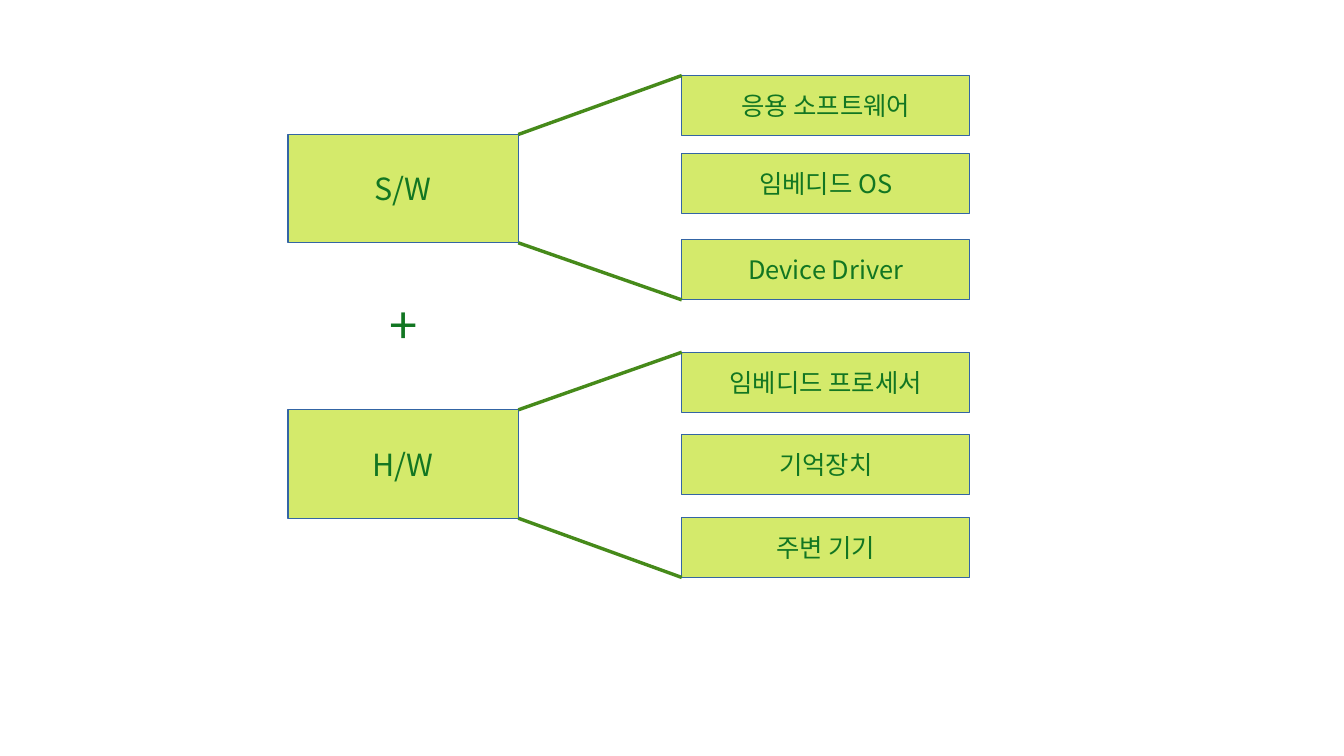
from lxml import etree
from pptx import Presentation
from pptx.dml.color import RGBColor
from pptx.enum import shapes, text
from pptx.oxml import ns
from pptx.util import Pt

FONT = "Noto Sans CJK KR"
GROUP_LEFT, GROUP_WIDTH, GROUP_HEIGHT = 170, 136, 64
PART_LEFT, PART_WIDTH, PART_HEIGHT = 402.5, 170, 35.5
GROUPS = [
    ("S/W", 79.4, [("응용 소프트웨어", 44.6), ("임베디드 OS", 90.7), ("Device Driver", 141.6)]),
    ("H/W", 242, [("임베디드 프로세서", 208), ("기억장치", 256.5), ("주변 기기", 305.5)]),
]


def write(shape, words, size):
    shape.text_frame.text = words
    para = shape.text_frame.paragraphs[0]
    para.alignment = text.PP_ALIGN.CENTER
    span = para.runs[0]
    span.font.size = Pt(size)
    span.font.name = FONT
    span.font.color.rgb = RGBColor.from_string("127622")
    east_asian = etree.SubElement(span.font._element, ns.qn("a:ea"))
    east_asian.set("typeface", FONT)


def add_box(page, words, left, top, width, height, size):
    box = page.shapes.add_shape(
        shapes.MSO_SHAPE.RECTANGLE, Pt(left), Pt(top), Pt(width), Pt(height))
    box.shadow.inherit = False
    box.fill.solid()
    box.fill.fore_color.rgb = RGBColor.from_string("D4EA6B")
    box.line.color.rgb = RGBColor.from_string("3465A4")
    box.line.width = Pt(0)
    box.text_frame.word_wrap = False
    box.text_frame.vertical_anchor = text.MSO_ANCHOR.MIDDLE
    write(box, words, size)


deck = Presentation()
deck.slide_width, deck.slide_height = Pt(793.44), Pt(446.4)
page = deck.slides.add_slide(deck.slide_layouts[6])

for name, top, parts in GROUPS:
    add_box(page, name, GROUP_LEFT, top, GROUP_WIDTH, GROUP_HEIGHT, 18)
    for part, part_top in parts:
        add_box(page, part, PART_LEFT, part_top, PART_WIDTH, PART_HEIGHT, 15)

    # Fan out from the group's right corners to the outer corners of its parts
    first_top, last_bottom = parts[0][1], parts[-1][1] + PART_HEIGHT
    for start, end in [(top, first_top), (top + GROUP_HEIGHT, last_bottom)]:
        line = page.shapes.add_connector(
            shapes.MSO_CONNECTOR.STRAIGHT,
            Pt(GROUP_LEFT + GROUP_WIDTH), Pt(start), Pt(PART_LEFT), Pt(end))
        line.line.color.rgb = RGBColor.from_string("468A1A")
        line.line.width = Pt(0)
        etree.SubElement(line._element.spPr, ns.qn("a:effectLst"))

plus = page.shapes.add_textbox(Pt(193), Pt(170), Pt(90), Pt(50))
plus.text_frame.word_wrap = True
write(plus, "+", 30)

deck.save("out.pptx")
